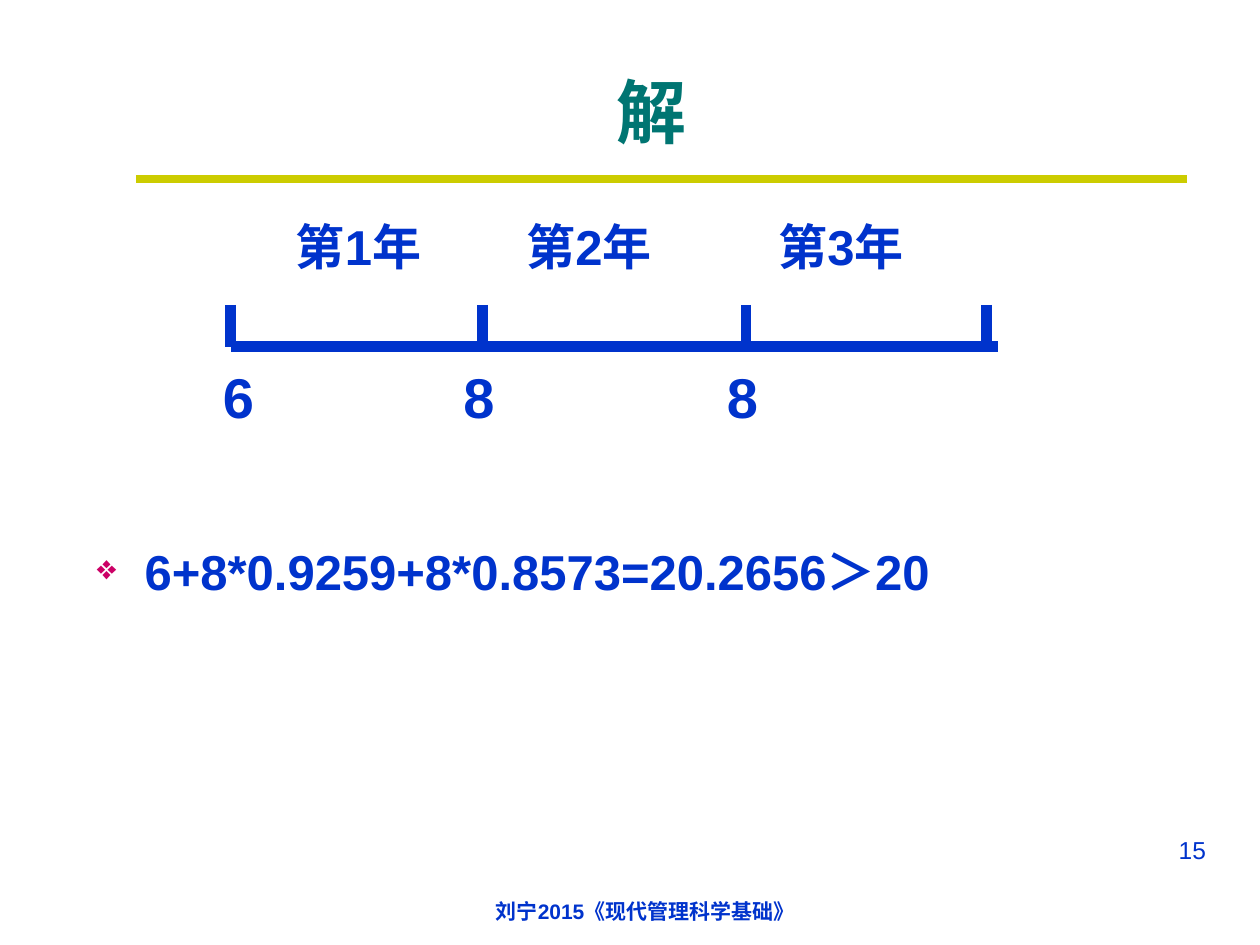
from lxml import etree
from pptx import Presentation
from pptx.dml.color import RGBColor
from pptx.enum.shapes import MSO_CONNECTOR
from pptx.enum.text import MSO_ANCHOR, PP_ALIGN
from pptx.oxml.ns import qn
from pptx.util import Inches, Pt

BLUE = RGBColor(0x00, 0x33, 0xCC)
TEAL = RGBColor(0x00, 0x75, 0x72)
GOLD = RGBColor(0xCC, 0xCC, 0x00)
PINK = RGBColor(0xCC, 0x00, 0x66)
LEFT, MID, RIGHT = PP_ALIGN.LEFT, PP_ALIGN.CENTER, PP_ALIGN.RIGHT
TOP, CENTER = MSO_ANCHOR.TOP, MSO_ANCHOR.MIDDLE
STRAIGHT = MSO_CONNECTOR.STRAIGHT


def add_text(slide, text, place, size, color=BLUE, bold=True, align=LEFT, anchor=TOP):
    """Add a one-paragraph text box and return the paragraph."""
    frame = slide.shapes.add_textbox(*map(Inches, place)).text_frame
    frame.word_wrap = True
    frame.vertical_anchor = anchor
    para = frame.paragraphs[0]
    para.alignment = align
    run = para.add_run()
    run.text = text
    look = {"name": "Arial", "size": Pt(size), "bold": bold}
    for key, value in look.items():
        setattr(run.font, key, value)
    run.font.color.rgb = color
    return para


def add_line(slide, start, end, color, width):
    """Add a straight line without shadow."""
    line = slide.shapes.add_connector(STRAIGHT, *map(Inches, start + end))
    line.line.color.rgb = color
    line.line.width = Pt(width)
    etree.SubElement(line._element.spPr, qn("a:effectLst"))


def add_bullet(para, mark, color, scale, indent):
    """Give a paragraph a coloured bullet with a hanging indent."""
    props = para._p.get_or_add_pPr()
    props.set("marL", str(Inches(indent)))
    props.set("indent", str(-Inches(indent)))
    tint = etree.SubElement(props, qn("a:buClr"))
    etree.SubElement(tint, qn("a:srgbClr"), val=str(color))
    etree.SubElement(props, qn("a:buSzPct"), val=str(scale * 1000))
    etree.SubElement(props, qn("a:buChar"), char=mark)


def add_scale(slide):
    """Draw the time line with its years and payments."""
    add_line(slide, (1.83, 2.75), (7.92, 2.75), BLUE, 6)
    for x in (1.83, 3.83, 5.92, 7.83):
        add_line(slide, (x, 2.42), (x, 2.75), BLUE, 6)
    for year, x in enumerate((2.25, 4.08, 6.08), 1):
        add_text(slide, f"第{year}年", (x, 1.67, 1.58, 0.57), 28)
    for x, sum_due in ((1.67, "6"), (3.58, "8"), (5.67, "8")):
        add_text(slide, sum_due, (x, 2.83, 0.42, 0.64), 32)


def main():
    """Build the slide and save it."""
    deck = Presentation()
    deck.slide_width, deck.slide_height = Inches(10), Inches(7.5)
    slide = deck.slides.add_slide(deck.slide_layouts[6])
    add_text(slide, "刘宁2015《现代管理科学基础》", (3.33, 7.08, 3.58, 0.3), 12, align=MID)
    add_line(slide, (1.08, 1.42), (9.42, 1.42), GOLD, 4.5)
    add_text(slide, "15", (7.17, 6.58, 2.5, 0.52), 14, bold=False, align=RIGHT)
    add_text(slide, "解", (0.5, 0.42, 9.34, 0.92), 40, TEAL, align=MID, anchor=CENTER)
    para = add_text(slide, "6+8*0.9259+8*0.8573=20.2656＞20", (0.67, 4.25, 8.5, 0.92), 28)
    add_bullet(para, "❖", PINK, 70, 0.38)
    add_scale(slide)
    deck.save("out.pptx")


if __name__ == "__main__":
    main()
